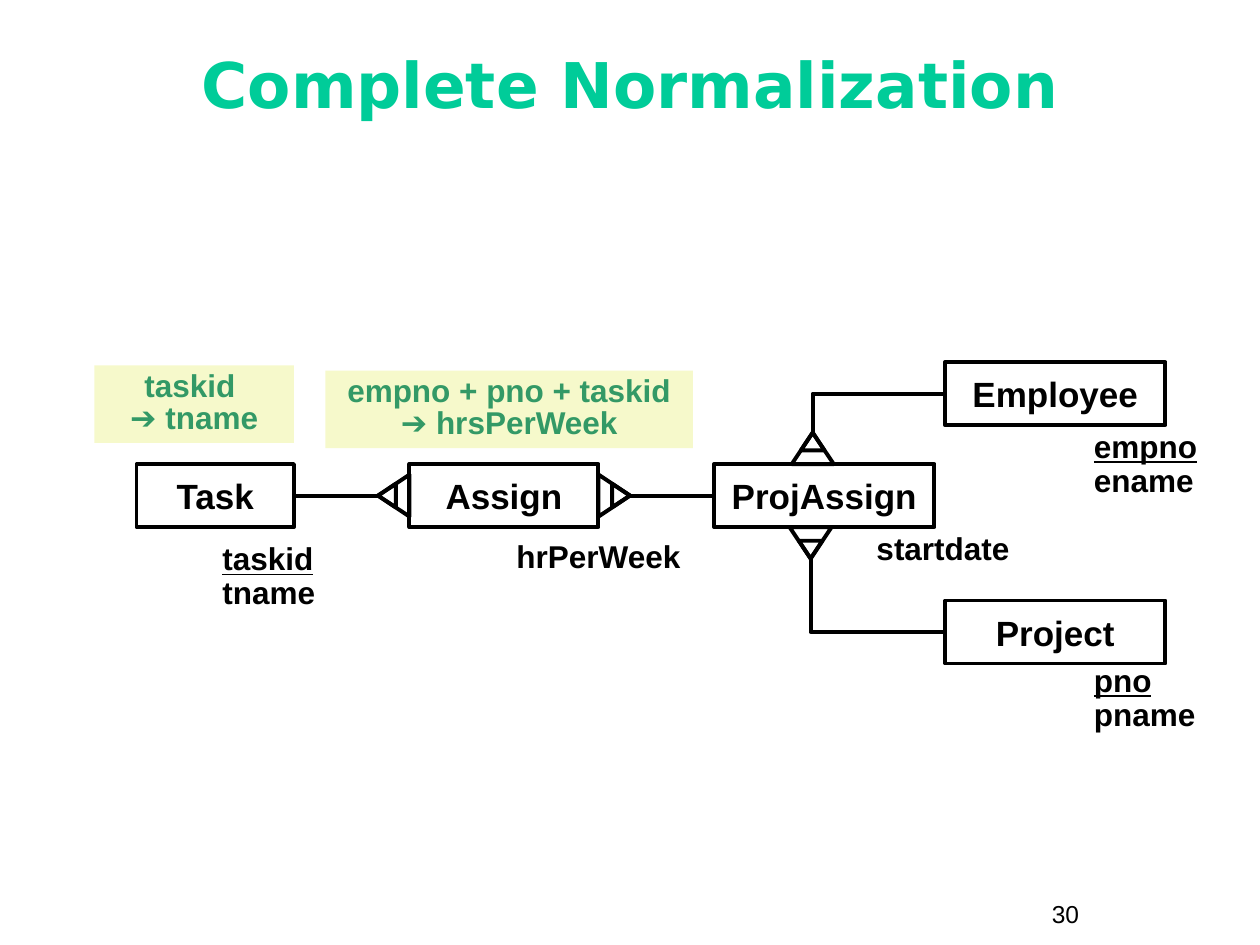
from dataclasses import dataclass
from math import cos, radians, sin

from lxml.etree import SubElement
from pptx import Presentation
from pptx.dml.color import RGBColor
from pptx.enum.shapes import MSO_CONNECTOR, MSO_SHAPE
from pptx.enum.text import MSO_ANCHOR, PP_ALIGN
from pptx.oxml.ns import qn
from pptx.util import Inches, Pt

BLACK = RGBColor(0x00, 0x00, 0x00)
TEAL = RGBColor(0x00, 0xCC, 0x99)
GREEN = RGBColor(0x33, 0x99, 0x66)
CREAM = RGBColor(0xF6, 0xF9, 0xCB)

CELL = Inches(1) / 12  # the slide is 120 columns by 90 rows
LINE_WIDTH = Pt(2.25)
ENTITY_HEIGHT = 6
FOOT_SIZES = ((4, 3), (2.25, 1.7))  # width and height of outer and inner triangle
UP, RIGHT, DOWN, LEFT = 0, 90, 180, 270


@dataclass(frozen=True)
class Area:
    column: float
    row: float
    columns: float
    rows: float


@dataclass(frozen=True)
class TextStyle:
    size: float
    color: RGBColor = BLACK
    font: str = "Arial"
    bold: bool = True
    align: PP_ALIGN = PP_ALIGN.LEFT
    spacing: float = 1.0


@dataclass(frozen=True)
class Entity:
    name: str
    column: float
    row: float
    columns: float


@dataclass(frozen=True)
class Attributes:
    area: Area
    names: tuple[str, ...]
    has_key: bool = True


@dataclass(frozen=True)
class Dependency:
    area: Area
    text: str


TITLE = TextStyle(36, TEAL, "DejaVu Sans", align=PP_ALIGN.CENTER, spacing=0.85)
ENTITY = TextStyle(20, align=PP_ALIGN.CENTER)
ATTRIBUTE = TextStyle(18, spacing=0.9)
DEPENDENCY = TextStyle(18, GREEN, align=PP_ALIGN.CENTER, spacing=0.85)
PAGE_NUMBER = TextStyle(14, bold=False)

ENTITIES = (
    Entity("Task", 13, 44.2, 15),
    Entity("Assign", 39, 44.2, 18),
    Entity("ProjAssign", 68, 44.2, 21),
    Entity("Employee", 90, 34.5, 21),
    Entity("Project", 90, 57.2, 21),
)
ATTRIBUTES = (
    Attributes(Area(20, 51.2, 20, 7.7), ("taskid", "tname")),
    Attributes(Area(48, 51, 20, 4.4), ("hrPerWeek",), has_key=False),
    Attributes(Area(82.3, 50.2, 17, 4.4), ("startdate",), has_key=False),
    Attributes(Area(103, 40.5, 13, 7.7), ("empno", "ename")),
    Attributes(Area(103, 62.8, 13, 7.7), ("pno", "pname")),
)
DEPENDENCIES = (
    Dependency(Area(9, 34.8, 19, 7.4), "taskid \n➔ tname"),
    Dependency(Area(31, 35.3, 35, 7.4), "empno + pno + taskid\n➔ hrsPerWeek"),
)


def grid(cells: float) -> int:
    return round(cells * CELL)


def place(area: Area) -> tuple[int, int, int, int]:
    return grid(area.column), grid(area.row), grid(area.columns), grid(area.rows)


def write(box, paragraphs, style: TextStyle, anchor=MSO_ANCHOR.TOP, wrap=True) -> None:
    frame = box.text_frame
    frame.word_wrap = wrap
    frame.vertical_anchor = anchor
    for index, text in enumerate(paragraphs):
        para = frame.add_paragraph() if index else frame.paragraphs[0]
        para.text = text
        para.alignment = style.align
        para.line_spacing = style.spacing
        for span in para.runs:
            span.font.name = style.font
            span.font.size = Pt(style.size)
            span.font.bold = style.bold
            span.font.color.rgb = style.color


def add_text(page, area: Area, paragraphs, style: TextStyle, anchor=MSO_ANCHOR.TOP):
    box = page.shapes.add_textbox(*place(area))
    write(box, paragraphs, style, anchor)
    return box


def add_outline(page, preset: MSO_SHAPE, area: Area):
    shape = page.shapes.add_shape(preset, *place(area))
    shape.shadow.inherit = False
    shape.fill.background()
    shape.line.color.rgb = BLACK
    shape.line.width = LINE_WIDTH
    return shape


def add_entity(page, entity: Entity):
    area = Area(entity.column, entity.row, entity.columns, ENTITY_HEIGHT)
    box = add_outline(page, MSO_SHAPE.RECTANGLE, area)
    write(box, [entity.name], ENTITY, MSO_ANCHOR.MIDDLE, wrap=False)
    return box


def add_attributes(page, attributes: Attributes) -> None:
    box = add_text(page, attributes.area, attributes.names, ATTRIBUTE)
    if attributes.has_key:
        box.text_frame.paragraphs[0].runs[0].font.underline = True


def add_dependency(page, dependency: Dependency) -> None:
    box = page.shapes.add_shape(MSO_SHAPE.RECTANGLE, *place(dependency.area))
    box.shadow.inherit = False
    box.fill.solid()
    box.fill.fore_color.rgb = CREAM
    box.line.fill.background()
    write(box, [dependency.text], DEPENDENCY)


def add_crows_foot(page, column: float, row: float, direction: int) -> None:
    """Draw nested triangles that share the tip at (column, row)."""
    angle = radians(direction)
    for width, height in FOOT_SIZES:
        middle_column = column - sin(angle) * height / 2
        middle_row = row + cos(angle) * height / 2
        area = Area(middle_column - width / 2, middle_row - height / 2, width, height)
        add_outline(page, MSO_SHAPE.ISOSCELES_TRIANGLE, area).rotation = direction


def add_link(page, kind: MSO_CONNECTOR, start, end):
    link = page.shapes.add_connector(kind, *map(grid, (*start, *end)))
    link.line.color.rgb = BLACK
    link.line.width = LINE_WIDTH
    SubElement(link._element.spPr, qn("a:effectLst"))
    return link


def link_straight(page, box, side: int, start, tip) -> None:
    add_link(page, MSO_CONNECTOR.STRAIGHT, start, tip).begin_connect(box, side)


def link_with_corner(page, start, tip) -> None:
    """Run level from start, then turn once to reach the tip."""
    link = add_link(page, MSO_CONNECTOR.ELBOW, start, tip)
    link._element.spPr.find(qn("a:prstGeom")).set("prst", "bentConnector2")


def main() -> None:
    deck = Presentation()
    deck.slide_width, deck.slide_height = grid(120), grid(90)
    page = deck.slides.add_slide(deck.slide_layouts[6])

    add_text(page, Area(4, 3, 112, 11), ["Complete Normalization"], TITLE, MSO_ANCHOR.MIDDLE)
    add_text(page, Area(99, 85, 11, 4), ["30"], PAGE_NUMBER)
    boxes = {entity.name: add_entity(page, entity) for entity in ENTITIES}
    for attributes in ATTRIBUTES:
        add_attributes(page, attributes)
    for dependency in DEPENDENCIES:
        add_dependency(page, dependency)

    left_tip, right_tip = (36, 47.2), (60, 47.2)
    upper_tip, lower_tip = (77.4, 41.2), (77.2, 53.2)
    link_straight(page, boxes["Task"], 3, (28, 47.2), left_tip)
    link_straight(page, boxes["ProjAssign"], 1, (68, 47.2), right_tip)
    link_with_corner(page, (90, 37.5), upper_tip)
    link_with_corner(page, (90, 60.2), lower_tip)
    feet = ((left_tip, LEFT), (right_tip, RIGHT), (upper_tip, UP), (lower_tip, DOWN))
    for tip, direction in feet:
        add_crows_foot(page, *tip, direction)

    deck.save("out.pptx")


if __name__ == "__main__":
    main()
